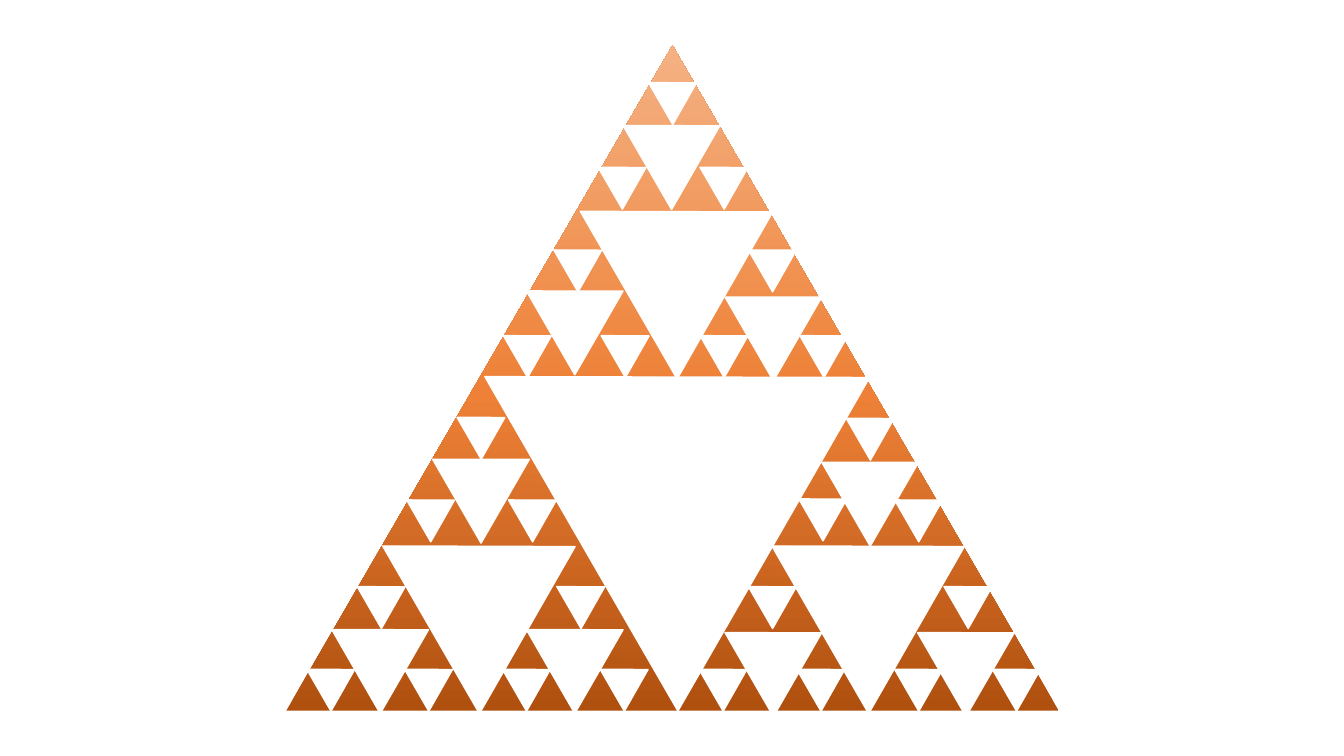
"""Build a slide with a Sierpinski triangle cut from one gradient triangle."""
from copy import deepcopy

from pptx import Presentation
from pptx.dml.color import RGBColor
from pptx.enum.shapes import MSO_SHAPE
from pptx.oxml.ns import qn
from pptx.util import Inches, Pt

GRADIENT = [(0, "B0500F"), (0.48, "EE8137"), (1, "F4B183")]
WHITE = "FFFFFF"
OUTER = (2.84, 0.45, 7.66, 6.6)
HOLES = [
    (3.83, 3.3, [(5.28, 2.92)]),
    (1.92, 1.65, [(5.99, 1.69), (4.03, 5.01), (7.89, 5.01)]),
    (0.96, 0.83, [
        (6.3, 1.04), (5.34, 2.68), (7.31, 2.74),
        (4.41, 4.35), (8.27, 4.38), (3.41, 6.04),
        (5.34, 6.04), (7.31, 6.07), (9.22, 6.07),
    ]),
    (0.48, 0.41, [
        (6.49, 0.72), (5.99, 1.56), (7, 1.56),
        (5.55, 2.38), (5.05, 3.23), (6.02, 3.23),
        (7.48, 2.38), (7, 3.23), (7.99, 3.23),
        (4.59, 4.04), (4.09, 4.86), (5.1, 4.86),
        (3.6, 5.72), (3.1, 6.54), (4.07, 6.54),
        (5.58, 5.72), (5.04, 6.54), (6.01, 6.54),
        (8.45, 4.05), (7.98, 4.85), (8.93, 4.86),
        (7.48, 5.72), (6.99, 6.54), (7.96, 6.54),
        (9.42, 5.72), (8.93, 6.54), (9.9, 6.54),
    ]),
]


def rgb(color):
    return RGBColor.from_string(color)


def add_triangle(shapes, *box):
    sp = shapes.add_shape(MSO_SHAPE.ISOSCELES_TRIANGLE, *map(Inches, box))
    sp.shadow.inherit = False
    return sp


def add_outer(shapes):
    sp = add_triangle(shapes, *OUTER)
    sp.line.fill.background()
    sp.fill.gradient()
    sp.fill.gradient_angle = 90
    stops = next(sp.element.iter(qn("a:gsLst")))
    stops.append(deepcopy(stops[0]))
    for stop, (position, color) in zip(sp.fill.gradient_stops, GRADIENT):
        stop.position = position
        stop.color.rgb = rgb(color)


def add_hole(shapes, left, top, width, height):
    sp = add_triangle(shapes, left, top, width, height)
    sp.rotation = 60
    sp.fill.solid()
    sp.fill.fore_color.rgb = rgb(WHITE)
    sp.line.color.rgb = rgb(WHITE)
    sp.line.width = Pt(1)


def main():
    prs = Presentation()
    prs.slide_width, prs.slide_height = Inches(13.33), Inches(7.5)
    s = prs.slides.add_slide(prs.slide_layouts[6])
    shapes = s.shapes.add_group_shape().shapes
    add_outer(shapes)
    for width, height, corners in HOLES:
        for left, top in corners:
            add_hole(shapes, left, top, width, height)
    prs.save("out.pptx")


if __name__ == "__main__":
    main()
